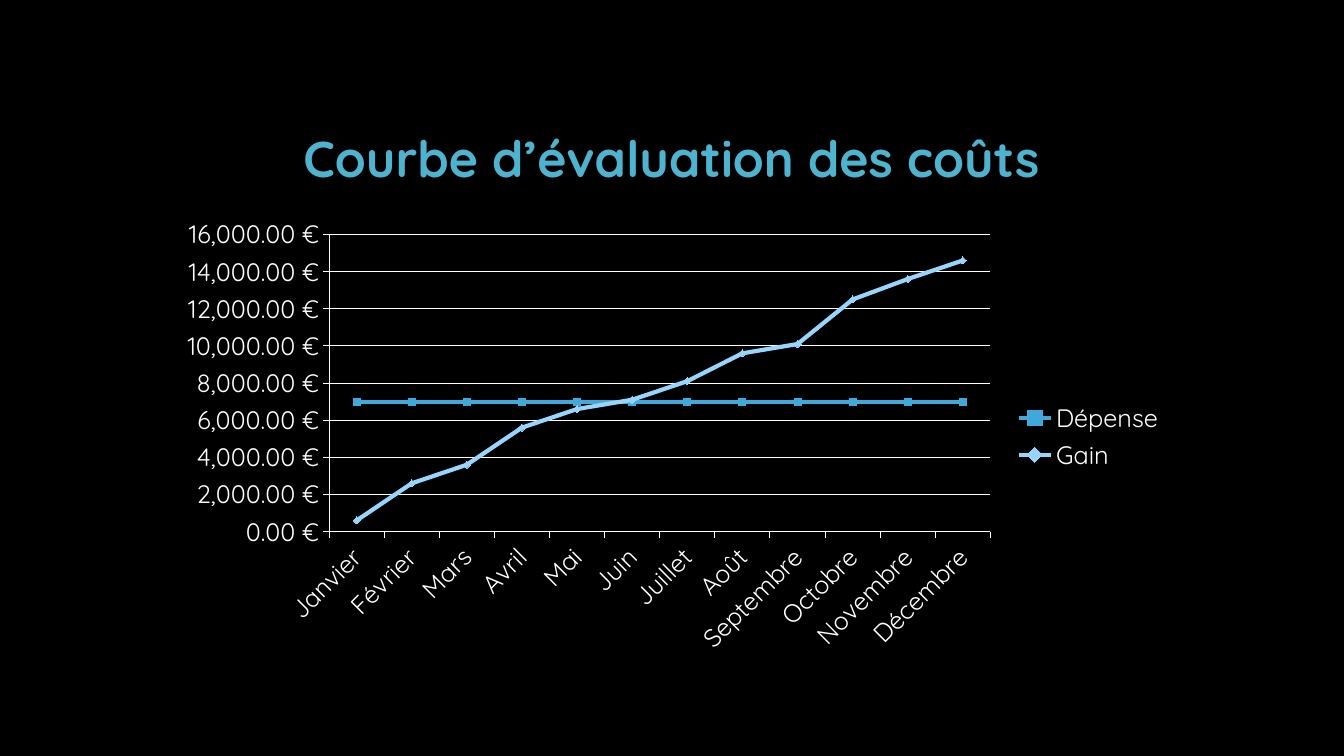
from dataclasses import dataclass

import pptx
import pptx.chart.data
import pptx.dml.color
import pptx.enum.chart
import pptx.enum.text
import pptx.util

Inches = pptx.util.Inches


@dataclass(frozen=True)
class Theme:
    font: str = "Quicksand"
    background: str = "000000"
    title: str = "4EB3CF"
    text: str = "FFFFFF"
    expense: str = "41A8DC"
    gain: str = "98D5FC"
    title_size: int = 36
    chart_size: int = 18
    axis_width: float = 0.75
    series_width: int = 3
    marker_size: int = 5


theme = Theme()


def color(value):
    return pptx.dml.color.RGBColor.from_string(value)


def add_text(slide, text, *, left, top, width, height, size, fill, bold=False):
    shape = slide.shapes.add_textbox(Inches(left), Inches(top), Inches(width), Inches(height))
    frame = shape.text_frame
    frame.word_wrap = True
    frame.vertical_anchor = pptx.enum.text.MSO_ANCHOR.BOTTOM
    paragraph = frame.paragraphs[0]
    paragraph.alignment = pptx.enum.text.PP_ALIGN.CENTER
    paragraph.line_spacing = 0.9
    run = paragraph.add_run()
    run.text = text
    run.font.name = theme.font
    run.font.size = pptx.util.Pt(size)
    run.font.bold = bold
    run.font.color.rgb = color(fill)
    return shape


# Slide
presentation = pptx.Presentation()
presentation.slide_width = Inches(13.33)
presentation.slide_height = Inches(7.5)
slide = presentation.slides.add_slide(presentation.slide_layouts[6])
slide.background.fill.solid()
slide.background.fill.fore_color.rgb = color(theme.background)

# Chart data
months = ["Janvier", "Février", "Mars", "Avril", "Mai", "Juin", "Juillet",
          "Août", "Septembre", "Octobre", "Novembre", "Décembre"]
gains = [600, 2600, 3600, 5600, 6600, 7100, 8100, 9600, 10100, 12500, 13600, 14600]
euro_format = '#,##0.00\\ "€";[Red]\\-#,##0.00\\ "€"'
chart_data = pptx.chart.data.CategoryChartData(number_format=euro_format)
chart_data.categories = months
chart_data.add_series("Dépense", [7000] * len(months))
chart_data.add_series("Gain", gains)

# Line chart
chart = slide.shapes.add_chart(
    pptx.enum.chart.XL_CHART_TYPE.LINE_MARKERS,
    Inches(1.66), Inches(2.08), Inches(9.99), Inches(4.5), chart_data,
).chart
chart.has_title = False
chart.font.name = theme.font
chart.font.size = pptx.util.Pt(theme.chart_size)
chart.font.color.rgb = color(theme.text)
chart.plots[0].vary_by_categories = False

# Legend
chart.has_legend = True
chart.legend.position = pptx.enum.chart.XL_LEGEND_POSITION.RIGHT
chart.legend.include_in_layout = False

# Axes
months_axis, euro_axis = chart.category_axis, chart.value_axis
euro_axis.minimum_scale = 0
euro_axis.maximum_scale = 16000
euro_axis.major_unit = 2000
euro_axis.has_major_gridlines = True
euro_axis.tick_labels.number_format = euro_format
euro_axis.tick_labels.number_format_is_linked = False
for axis in (months_axis, euro_axis):
    axis.major_tick_mark = pptx.enum.chart.XL_TICK_MARK.OUTSIDE
    axis.tick_labels.font.size = pptx.util.Pt(theme.chart_size)
for line in (months_axis.format.line, euro_axis.format.line,
             euro_axis.major_gridlines.format.line):
    line.color.rgb = color(theme.text)
    line.width = pptx.util.Pt(theme.axis_width)

# Month labels slope upwards at 45 degrees
months_axis._element.txPr.bodyPr.set("rot", str(-45 * 60000))

# Series
marker_styles = pptx.enum.chart.XL_MARKER_STYLE
series_styles = [(theme.expense, marker_styles.SQUARE), (theme.gain, marker_styles.DIAMOND)]
for series, (series_color, marker_style) in zip(chart.plots[0].series, series_styles):
    series.smooth = False
    series.format.line.color.rgb = color(series_color)
    series.format.line.width = pptx.util.Pt(theme.series_width)
    series.marker.style = marker_style
    series.marker.size = theme.marker_size
    series.marker.format.fill.solid()
    series.marker.format.fill.fore_color.rgb = color(series_color)
    series.marker.format.line.color.rgb = color(series_color)

# Title
add_text(slide, "Courbe d’évaluation des coûts", left=1.66, top=0.42, width=10, height=1.5,
         size=theme.title_size, fill=theme.title, bold=True)

presentation.save("out.pptx")
